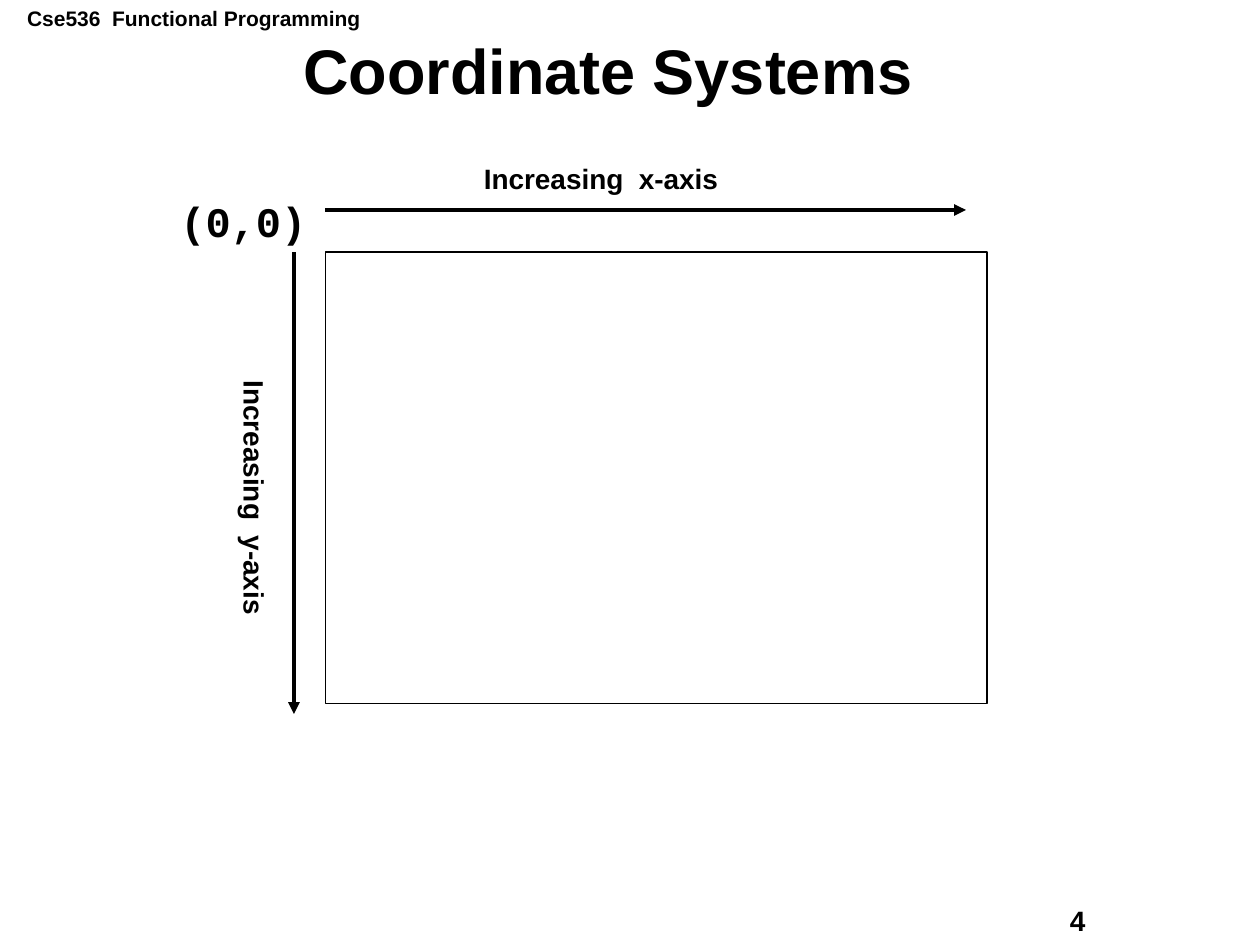
"""Build a slide that shows the axes of a window's coordinate system."""
import lxml.etree
import pptx
import pptx.dml.color
import pptx.enum.shapes
import pptx.enum.text
import pptx.oxml.ns
import pptx.util

presentation = pptx.Presentation()
presentation.slide_width = pptx.util.Inches(10)
presentation.slide_height = pptx.util.Inches(7.5)
slide = presentation.slides.add_slide(presentation.slide_layouts[5])
column = presentation.slide_width / 120
row = presentation.slide_height / 90


def place(left, top, width, height):
    """Turn grid columns and rows into slide lengths."""
    return [round(n * unit) for n, unit in zip((left, top, width, height), (column, row) * 2)]


def add_text(shape, text, font_name, size, color="000000"):
    """Write one bold run into the first paragraph of a shape."""
    run = shape.text_frame.paragraphs[0].add_run()
    run.text = text
    run.font.name = font_name
    run.font.size = pptx.util.Pt(size)
    run.font.bold = True
    run.font.color.rgb = pptx.dml.color.RGBColor.from_string(color)


title = slide.shapes.title
title.left, title.top, title.width, title.height = place(3.7, 3.7, 108.4, 6.7)
title.text_frame.vertical_anchor = pptx.enum.text.MSO_ANCHOR.MIDDLE
title.text_frame.auto_size = pptx.enum.text.MSO_AUTO_SIZE.NONE
title.text_frame.paragraphs[0].alignment = pptx.enum.text.PP_ALIGN.CENTER
title.text_frame.paragraphs[0].line_spacing = 0.9
add_text(title, "Coordinate Systems", "Arial", 36)

window_left, window_top, window_width, window_height = 31, 24, 63, 43
window = slide.shapes.add_shape(
    pptx.enum.shapes.MSO_SHAPE.RECTANGLE,
    *place(window_left, window_top, window_width, window_height),
)
window.shadow.inherit = False
window.fill.solid()
window.fill.fore_color.rgb = pptx.dml.color.RGBColor.from_string("FFFFFF")
window.line.color.rgb = pptx.dml.color.RGBColor.from_string("000000")
window.line.width = pptx.util.Pt(1)

axes = [
    (window_left, window_top - 4, window_left + 61, window_top - 4),
    (window_left - 3, window_top, window_left - 3, window_top + 44),
]
for ends in axes:
    axis = slide.shapes.add_connector(pptx.enum.shapes.MSO_CONNECTOR.STRAIGHT, *place(*ends))
    axis.line.color.rgb = pptx.dml.color.RGBColor.from_string("000000")
    axis.line.width = pptx.util.Pt(2.25)
    line = axis.line._get_or_add_ln()
    lxml.etree.SubElement(line, pptx.oxml.ns.qn("a:tailEnd"), type="triangle")
    lxml.etree.SubElement(axis._element.spPr, pptx.oxml.ns.qn("a:effectLst"))

labels = [
    ("Cse536  Functional Programming", "Arial", 12, (1.4, -0.1, 34.2, 3.6), 0, False),
    ("4", "Arial", 16, (100.7, 85.5, 15.2, 4.4), 0, True),
    ("(0,0)", "Courier New", 24, (16, 18, 14.4, 6), 0, False),
    ("Increasing  x-axis", "Arial", 16, (44.9, 14.8, 24.7, 4.4), 0, False),
    ("Increasing  y-axis", "Arial", 16, (11.9, 45.2, 24.7, 4.4), 90, False),
]
for text, font_name, size, box, rotation, wrap in labels:
    label = slide.shapes.add_textbox(*place(*box))
    label.rotation = rotation
    label.text_frame.word_wrap = wrap
    add_text(label, text, font_name, size)

presentation.save("out.pptx")
